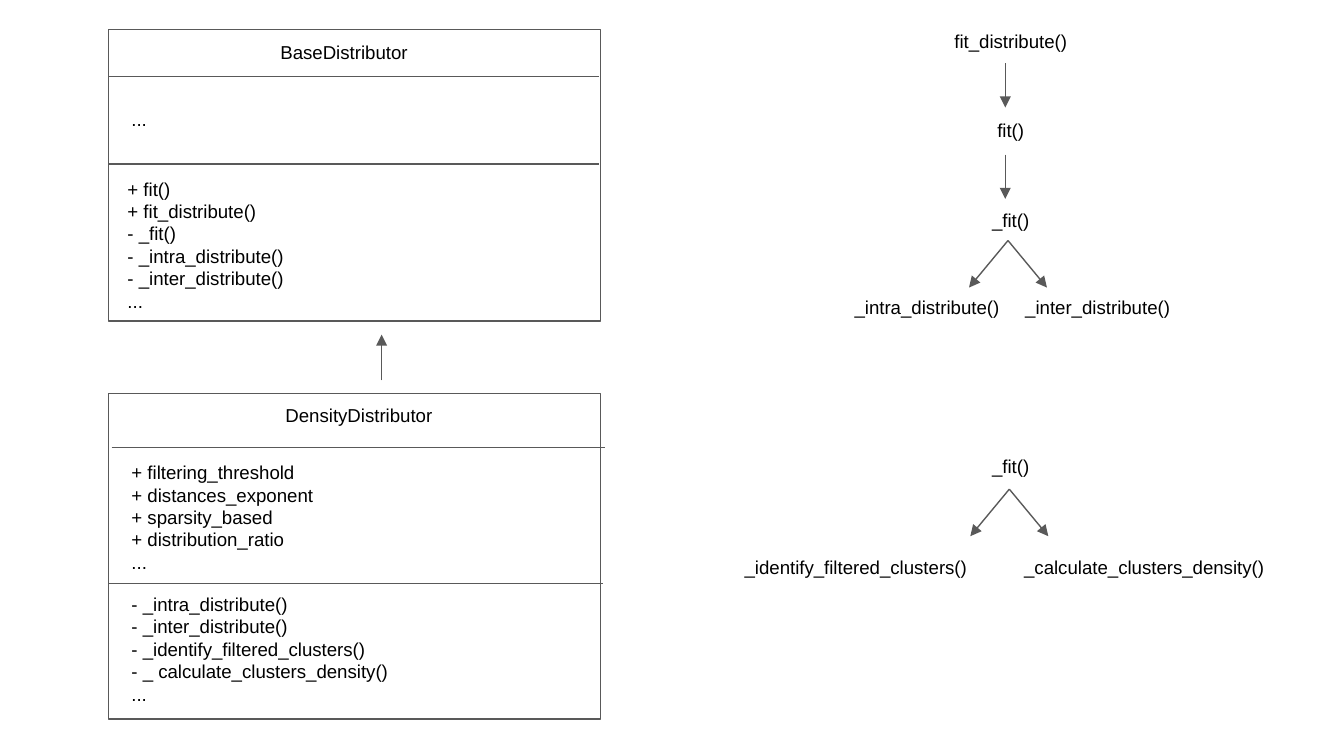
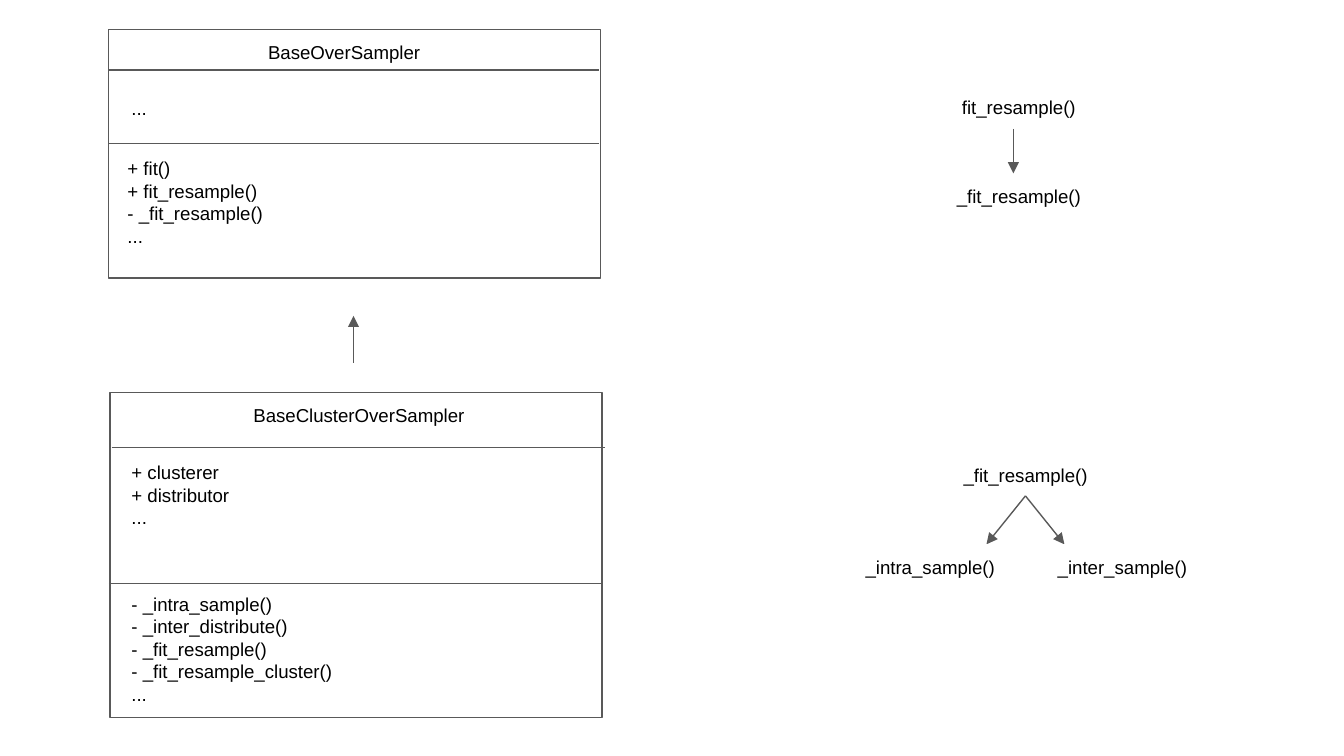
from lxml import etree
from pptx import Presentation
from pptx.dml.color import RGBColor
from pptx.enum.shapes import MSO_CONNECTOR, MSO_SHAPE
from pptx.enum.text import MSO_ANCHOR, PP_ALIGN
from pptx.oxml.ns import qn
from pptx.util import Pt

PX = 9144  # EMU per px, 100 px to the inch
INK = RGBColor(0x00, 0x00, 0x00)
OUTLINE = RGBColor(0x59, 0x59, 0x59)
FONT = "Arial"
TEXT_SIZE = Pt(10)
LINE_WIDTH = Pt(0.75)
CALL_GAP = Pt(36)
INSET = 10
LEFT, CENTER = PP_ALIGN.LEFT, PP_ALIGN.CENTER
TOP = MSO_ANCHOR.TOP
RECTANGLE = MSO_SHAPE.RECTANGLE
STRAIGHT = MSO_CONNECTOR.STRAIGHT

BOX_LEFT, BOX_WIDTH = 81, 366
LIST_LEFT = 88


def px(*lengths):
    return [length * PX for length in lengths]


def write(frame, lines, align=LEFT, gap=None):
    """Fill a text frame with one paragraph per line, gap before all but the first."""
    for index, line in enumerate(lines):
        paragraph = frame.add_paragraph() if index else frame.paragraphs[0]
        paragraph.alignment = align
        if index and gap:
            paragraph.space_before = gap
        run = paragraph.add_run()
        run.text = line
        run.font.name = FONT
        run.font.size = TEXT_SIZE
        run.font.color.rgb = INK


class Diagram:
    def __init__(self, deck):
        self.deck = deck
        self.shapes = None

    def new_slide(self):
        self.shapes = self.deck.slides.add_slide(self.deck.slide_layouts[6]).shapes

    def text(self, left, top, width, height, *lines, **style):
        frame = self.shapes.add_textbox(*px(left, top, width, height)).text_frame
        frame.word_wrap = True
        frame.vertical_anchor = TOP
        frame.margin_left = frame.margin_right = INSET * PX
        frame.margin_top = frame.margin_bottom = INSET * PX
        write(frame, lines, **style)

    def outline(self, left, top, width, height):
        box = self.shapes.add_shape(RECTANGLE, *px(left, top, width, height))
        box.shadow.inherit = False
        box.fill.background()
        box.line.color.rgb = OUTLINE
        box.line.width = LINE_WIDTH

    def line(self, x1, y1, x2, y2, arrow=False):
        connector = self.shapes.add_connector(STRAIGHT, *px(x1, y1, x2, y2))
        connector.line.color.rgb = OUTLINE
        connector.line.width = LINE_WIDTH
        properties = connector._element.spPr
        if arrow:
            etree.SubElement(properties.find(qn("a:ln")), qn("a:tailEnd"), type="triangle")
        etree.SubElement(properties, qn("a:effectLst"))

    def arrow(self, x1, y1, x2, y2):
        self.line(x1, y1, x2, y2, arrow=True)

    def fork(self, x, top, bottom):
        """Two arrows that spread from one point."""
        for spread in (-29, 29):
            self.arrow(x, top, x + spread, bottom)

    def call_pair(self, left, top, calls, first_indent=INSET):
        """A borderless one-row table of two calls."""
        table = self.shapes.add_table(1, 2, *px(left, top, 416, 20)).table
        table.first_row = table.horz_banding = False
        for cell, call, indent in zip(table.rows[0].cells, calls, (first_indent, INSET)):
            cell.fill.background()
            cell.margin_left = indent * PX
            cell.margin_right = cell.margin_top = cell.margin_bottom = INSET * PX
            write(cell.text_frame, [call])

    def base_class(self, name, height, attributes_top, dots_top, methods_top, methods):
        top = 22
        self.outline(BOX_LEFT, top, BOX_WIDTH, height)
        for divider in (attributes_top, methods_top):
            self.line(BOX_LEFT, divider, 446, divider)
        self.text(131, top, 250, attributes_top - top, name, align=CENTER)
        self.text(LIST_LEFT, dots_top, 177, 37, "...")
        self.text(85, methods_top, 339, top + height - methods_top, *methods)

    def derived_class(self, name, left, top, attributes, methods):
        self.outline(left, top, BOX_WIDTH, 242)
        self.line(83, 333, 450, 333)
        self.line(81, 434, 449, 434)
        self.text(135, 292, 264, 42, name, align=CENTER)
        self.text(LIST_LEFT, 333, 358, 80, *attributes)
        self.text(LIST_LEFT, 431, 453, 89, *methods)


def distributor_slide(diagram):
    diagram.new_slide()
    diagram.base_class(
        "BaseDistributor", 217, 57, 72, 122,
        ["+ fit()", "+ fit_distribute()", "- _fit()", "- _intra_distribute()",
         "- _inter_distribute()", "..."])
    diagram.arrow(284, 283, 284, 249)
    diagram.derived_class(
        "DensityDistributor", 81, 293,
        ["+ filtering_threshold", "+ distances_exponent", "+ sparsity_based",
         "+ distribution_ratio", "..."],
        ["- _intra_distribute()", "- _inter_distribute()",
         "- _identify_filtered_clusters()", "- _ calculate_clusters_density()", "..."])

    diagram.text(573, 12, 358, 190, "fit_distribute()", "fit()", "_fit()",
                 align=CENTER, gap=CALL_GAP)
    for start in (47, 115):
        diagram.arrow(748, start, 748, start + 33)
    diagram.fork(750, 179, 214)
    for left, call in ((626, "_intra_distribute()"), (753, "_inter_distribute()")):
        diagram.text(left, 212, 135, 37, call)

    diagram.text(516, 330, 472, 37, "_fit()", align=CENTER)
    diagram.fork(751, 364, 399)
    diagram.call_pair(544, 405, ["_identify_filtered_clusters()",
                                 "_calculate_clusters_density()"])


def over_sampler_slide(diagram):
    diagram.new_slide()
    diagram.base_class(
        "BaseOverSampler", 185, 52, 64, 107,
        ["+ fit()", "+ fit_resample()", "- _fit_resample()", "..."])
    diagram.arrow(263, 270, 263, 235)
    diagram.derived_class(
        "BaseClusterOverSampler", 82, 292,
        ["+ clusterer", "+ distributor", "..."],
        ["- _intra_sample()", "- _inter_distribute()", "- _fit_resample()",
         "- _fit_resample_cluster()", "..."])

    diagram.text(579, 61, 358, 129, "fit_resample()", "_fit_resample()",
                 align=CENTER, gap=CALL_GAP)
    diagram.arrow(754, 96, 754, 129)

    diagram.text(527, 337, 472, 37, "_fit_resample()", align=CENTER)
    diagram.fork(763, 369, 405)
    diagram.call_pair(569, 405, ["_intra_sample()", "_inter_sample()"], first_indent=75)


def main():
    deck = Presentation()
    deck.slide_width, deck.slide_height = Pt(720), Pt(405)
    diagram = Diagram(deck)
    distributor_slide(diagram)
    over_sampler_slide(diagram)
    deck.save("out.pptx")


if __name__ == "__main__":
    main()
